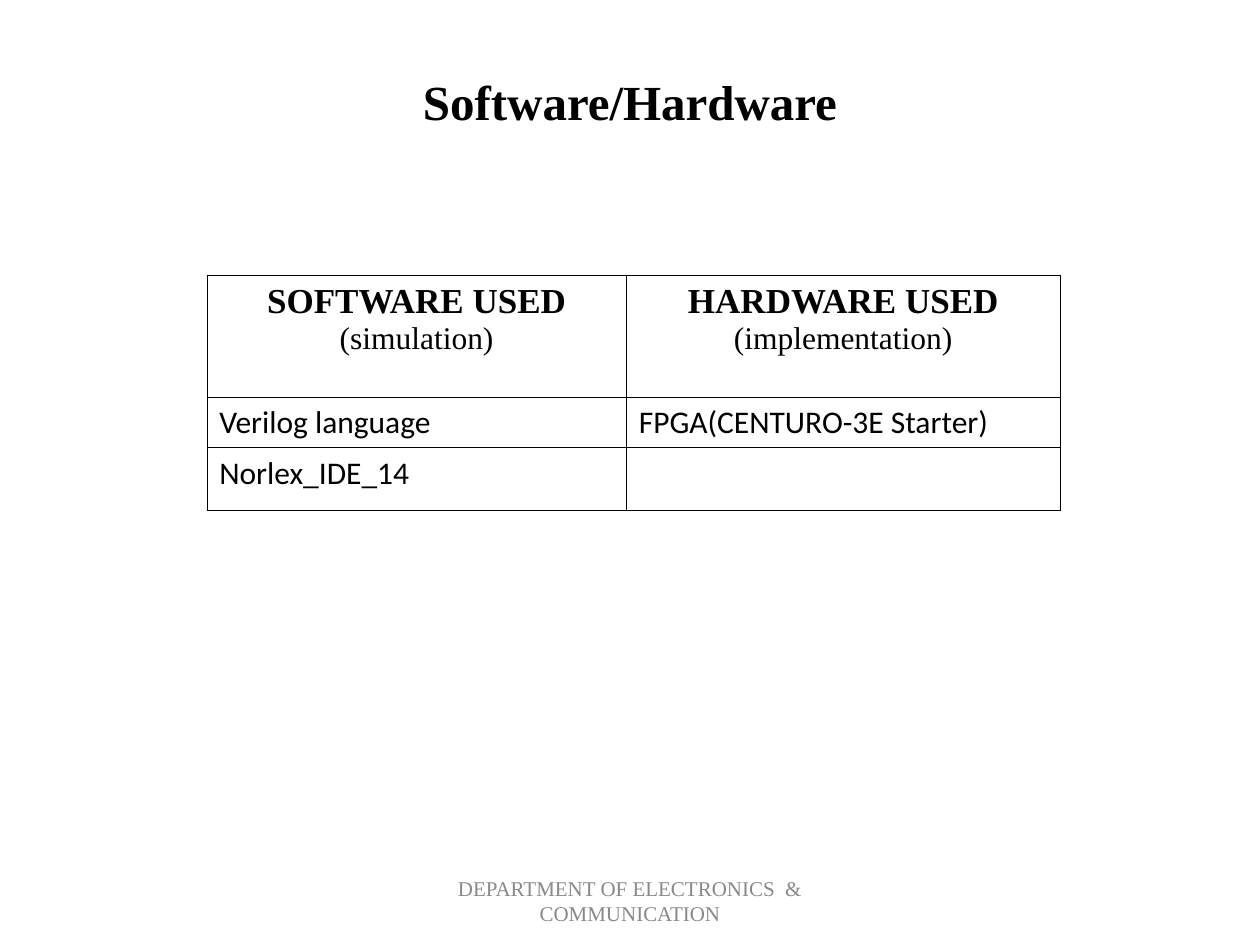
from lxml import etree
from pptx import Presentation
from pptx.dml.color import RGBColor
from pptx.enum.text import MSO_ANCHOR, PP_ALIGN
from pptx.oxml.ns import qn
from pptx.util import Cm, Pt

CENTER, LEFT = PP_ALIGN.CENTER, PP_ALIGN.LEFT
TOP, MIDDLE = MSO_ANCHOR.TOP, MSO_ANCHOR.MIDDLE
SERIF, SANS = "Times New Roman", "Calibri"
BLACK, GREY, WHITE = "000000", "898989", "FFFFFF"
BORDER_WIDTH = Pt(0.45)


def rgb(value):
    return RGBColor.from_string(value)


def add_text(paragraph, text, *, size=18, font=SERIF, color=BLACK, bold=False):
    run = paragraph.add_run()
    run.text = text
    run.font.size = Pt(size)
    run.font.name = font
    run.font.bold = bold
    run.font.color.rgb = rgb(color)


class SlideBuilder:
    """Holds the slide and its shared text margins."""

    margin_x, margin_y = Cm(0.25), Cm(0.13)

    def __init__(self, slide):
        self.slide = slide

    def set_margins(self, target):
        target.margin_left = target.margin_right = self.margin_x
        target.margin_top = target.margin_bottom = self.margin_y

    def text_box(self, text, left, top, width, height, anchor=TOP, **style):
        box = self.slide.shapes.add_textbox(Cm(left), Cm(top), Cm(width), Cm(height))
        frame = box.text_frame
        frame.word_wrap = True
        frame.vertical_anchor = anchor
        self.set_margins(frame)
        frame.paragraphs[0].alignment = CENTER
        add_text(frame.paragraphs[0], text, **style)

    def style_cell(self, cell):
        self.set_margins(cell)
        properties = cell._tc.get_or_add_tcPr()
        for side in ("a:lnL", "a:lnR", "a:lnT", "a:lnB"):
            border = etree.SubElement(properties, qn(side), w=str(BORDER_WIDTH))
            line_fill = etree.SubElement(border, qn("a:solidFill"))
            etree.SubElement(line_fill, qn("a:srgbClr"), val=BLACK)
        cell.fill.solid()
        cell.fill.fore_color.rgb = rgb(WHITE)

    def table(self, headings, rows, left, top, widths, heights):
        table = self.slide.shapes.add_table(
            len(heights), len(widths), Cm(left), Cm(top),
            Cm(sum(widths)), Cm(sum(heights))).table
        for column, width in zip(table.columns, widths):
            column.width = Cm(width)
        for row, height in zip(table.rows, heights):
            row.height = Cm(height)
        for cell in table.iter_cells():
            self.style_cell(cell)

        for column, (heading, purpose) in enumerate(headings):
            paragraph = table.cell(0, column).text_frame.paragraphs[0]
            paragraph.alignment = CENTER
            add_text(paragraph, heading, size=20, bold=True)
            paragraph.add_line_break()
            add_text(paragraph, purpose)
        for row, entries in enumerate(rows, start=1):
            for column, entry in enumerate(entries):
                paragraph = table.cell(row, column).text_frame.paragraphs[0]
                paragraph.alignment = LEFT
                if entry:
                    add_text(paragraph, entry, font=SANS)


def main():
    presentation = Presentation()
    presentation.slide_width, presentation.slide_height = Cm(25.4), Cm(19.05)
    builder = SlideBuilder(presentation.slides.add_slide(presentation.slide_layouts[6]))

    builder.text_box("DEPARTMENT OF ELECTRONICS  & COMMUNICATION",
                     8.68, 17.65, 8.04, 1.02, anchor=MIDDLE, size=12, color=GREY)
    builder.text_box("Software/Hardware", 6.35, 1.32, 12.7, 1.45, size=28, bold=True)
    builder.table(
        headings=[("SOFTWARE USED", "(simulation)"),
                  ("HARDWARE USED", "(implementation)")],
        rows=[("Verilog language", "FPGA(CENTURO-3E Starter)"),
              ("Norlex_IDE_14", "")],
        left=4.17, top=5.56, widths=[8.46, 8.74], heights=[2.44, 1.02, 1.27])

    presentation.save("out.pptx")


if __name__ == "__main__":
    main()
